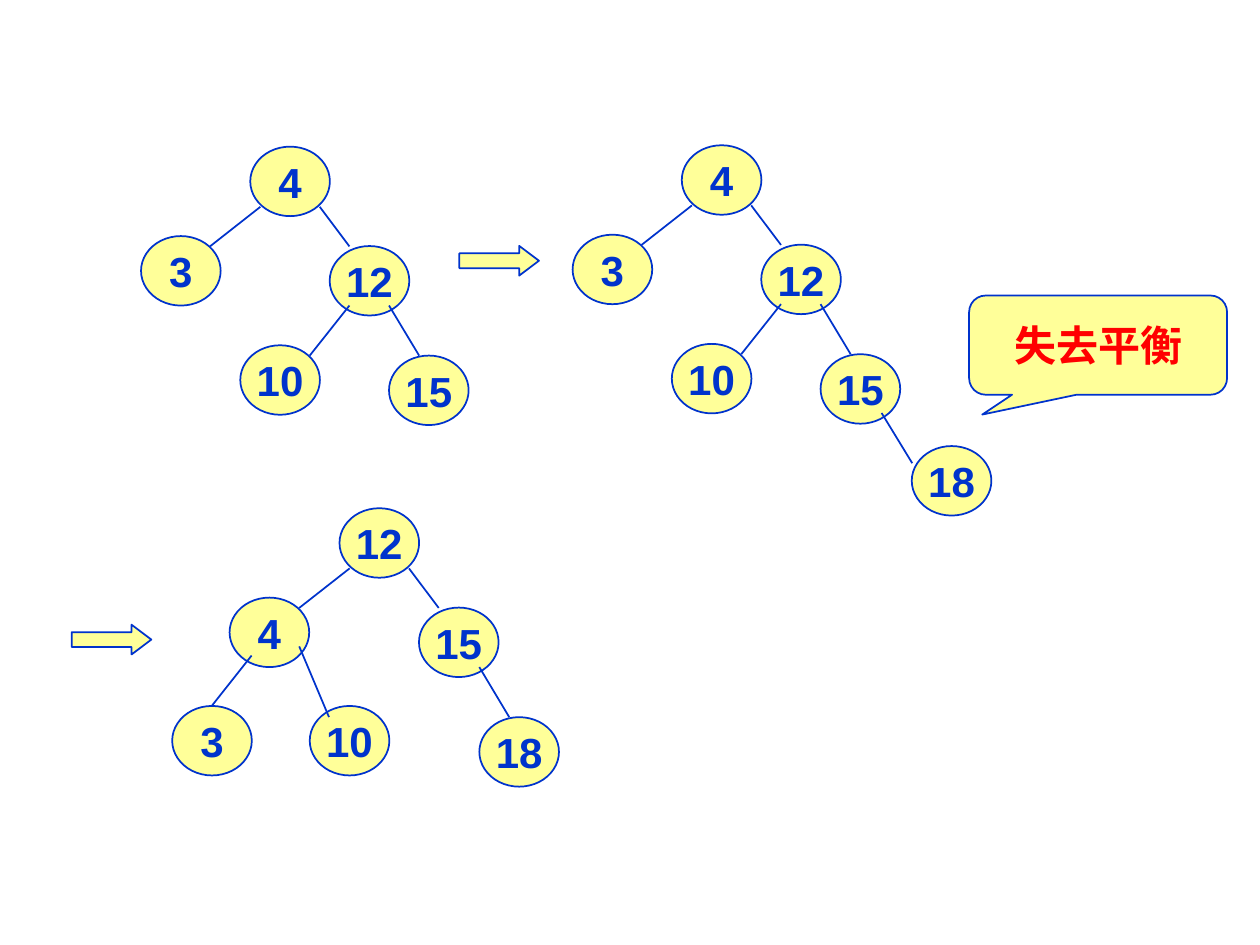
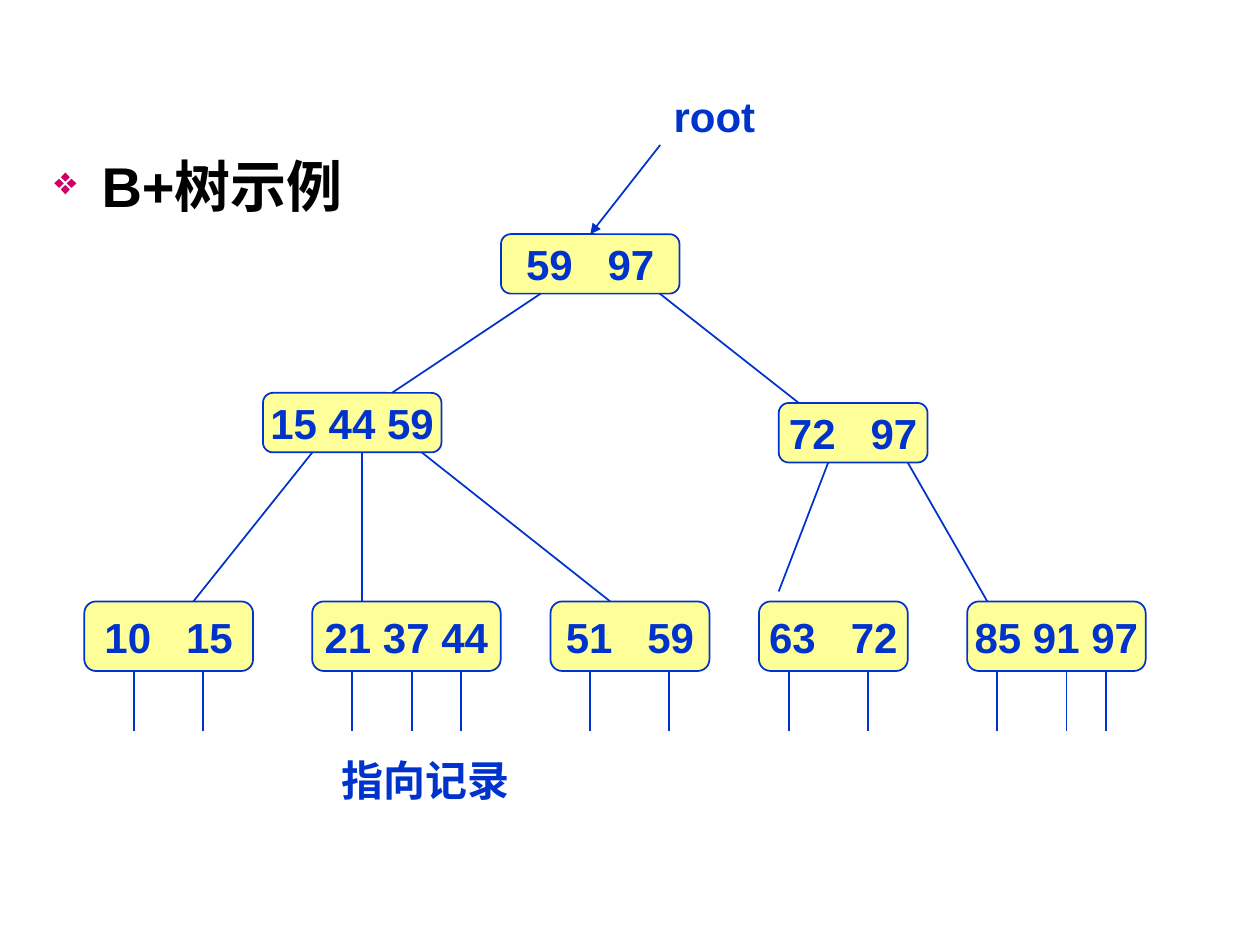
from lxml import etree
from pptx import Presentation
from pptx.dml.color import RGBColor
from pptx.enum.shapes import MSO_CONNECTOR, MSO_SHAPE as Preset
from pptx.enum.text import MSO_ANCHOR as Anchor, MSO_AUTO_SIZE, PP_ALIGN as Align
from pptx.oxml.ns import qn
from pptx.util import Pt

# Shared look
BLUE, YELLOW, RED, BLACK, PINK = "0033CC", "FFFF99", "FF0000", "000000", "CC0066"
FONT = "Arial"
TEXT_SIZE, TITLE_SIZE = 24, 32

# Slide 1: three trees; nodes and edges are offsets from the root's top left
NODE_SIZE = (45.5, 39.7)
TOP_EDGES = [((5.8, 34.4), (-23, 57)), ((39.7, 34.4), (56.7, 57))]
FIRST_NODES = [("15", 79.3, 119.4), ("4", 0, 0), ("3", -62.4, 51.1),
               ("10", -5.7, 113.5), ("12", 45.4, 56.8)]
FIRST_EDGES = TOP_EDGES + [((56.7, 90.8), (34, 119.4)), ((79.3, 90.8), (96.5, 119.4))]
ROTATED_NODES = [("18", 79.9, 119.4), ("12", 0, 0), ("4", -62.8, 51.1),
                 ("10", -17, 113), ("15", 45.4, 56.8), ("3", -95.6, 113)]
ROTATED_EDGES = TOP_EDGES + [((-23, 79), (-6, 119.4)), ((79.9, 90.8), (97, 119.4)),
                             ((-50.2, 84.2), (-73, 113))]
TREES = [
    ((143, 83.8), FIRST_NODES, FIRST_EDGES),
    ((389.6, 83), FIRST_NODES + [("18", 131.4, 171.9)],
     FIRST_EDGES + [((114.2, 153), (131.7, 181.7))]),
    ((194, 290.4), ROTATED_NODES, ROTATED_EDGES),
]
STEP_ARROWS = [(262.5, 140.5), (41, 357)]
UNBALANCED = ("失去平衡", (553.8, 168.9, 147.4, 56.7))

# Slide 2: B+ tree; keys, left, top, width of each node
TITLE = "B+树示例"
INNER_HEIGHT, LEAF_HEIGHT, LEAF_TOP, POINTER_LENGTH = 34, 39.7, 343.7, 34.3
INNER_NODES = {
    "root": ("59 97", 286.3, 133.8, 102),
    "low": ("15 44 59", 150.3, 224.5, 102),
    "high": ("72 97", 445, 230.3, 85),
}
LEAVES = [  # keys, left, width, record pointer positions
    ("10 15", 48.2, 96.4, (76.5, 116)),
    ("21 37 44", 178.4, 107.7, (201.3, 235.3, 263.5)),
    ("51 59", 314.6, 90.8, (337.3, 382.5)),
    ("63 72", 433.7, 85, (450.8, 496)),
    ("85 91 97", 552.7, 102, (569.8, 609.5, 632)),
]
CHILD_EDGES = [  # parent, x at the parent, x at the child, y at the child
    ("root", 309, 224, 224.5), ("root", 377, 456.5, 230.3),
    ("low", 178.5, 110.5, LEAF_TOP), ("low", 206.8, 206.8, LEAF_TOP),
    ("low", 241, 348.7, LEAF_TOP),
    ("high", 473.3, 445, 338), ("high", 518.7, 564.2, LEAF_TOP),
]
ROOT_LABEL = ("root", (371.5, 49, 73.4, 33.8))
RECORDS_LABEL = ("指向记录", (70.6, 428.4, 345.6, 33.8))
ROOT_POINTER_START = (377.3, 82.8)


def colour(hex_string):
    return RGBColor.from_string(hex_string)


def points(*lengths):
    return [Pt(length) for length in lengths]


def style(paragraph, hex_string, size=TEXT_SIZE, align=Align.CENTER):
    paragraph.alignment = align
    font = paragraph.font
    font.name, font.size, font.bold = FONT, Pt(size), True
    font.color.rgb = colour(hex_string)


def write(shape, text, hex_string=BLUE, wrap=False):
    frame = shape.text_frame
    frame.word_wrap, frame.vertical_anchor = wrap, Anchor.MIDDLE
    frame.text = text
    style(frame.paragraphs[0], hex_string)


def write_keys(shape, keys):
    """Write the keys; a pair stands wide apart, three stand close."""
    write(shape, keys)
    values = keys.split()
    if len(values) == 2:
        paragraph = shape.text_frame.paragraphs[0]
        paragraph.runs[0].text = values[0]
        gap = paragraph.add_run()
        gap.text = " "
        gap.font._element.set("spc", "1330")
        paragraph.add_run().text = values[1]


def add_box(shapes, preset, box):
    shape = shapes.add_shape(preset, *points(*box))
    shape.shadow.inherit = False
    shape.fill.solid()
    shape.fill.fore_color.rgb = colour(YELLOW)
    shape.line.color.rgb = colour(BLUE)
    shape.line.width = Pt(1)
    return shape


def add_line(shapes, start, end):
    line = shapes.add_connector(MSO_CONNECTOR.STRAIGHT, *points(*start, *end))
    line.line.color.rgb = colour(BLUE)
    line.line.width = Pt(1)
    etree.SubElement(line._element.spPr, qn("a:effectLst"))
    return line


def add_label(shapes, text, box):
    write(shapes.add_textbox(*points(*box)), text)


def add_tree(slide, root, nodes, edges):
    shapes = slide.shapes.add_group_shape().shapes
    x, y = root
    for key, dx, dy in nodes:
        write(add_box(shapes, Preset.OVAL, (x + dx, y + dy, *NODE_SIZE)), key)
    for (x1, y1), (x2, y2) in edges:
        add_line(shapes, (x + x1, y + y1), (x + x2, y + y2))


def build_rotation(prs):
    slide = prs.slides.add_slide(prs.slide_layouts[6])
    for tree in TREES:
        add_tree(slide, *tree)
    for left, top in STEP_ARROWS:
        arrow = add_box(slide.shapes, Preset.RIGHT_ARROW, (left, top, 45.5, 17))
        arrow.adjustments[1] = 0.665
    text, box = UNBALANCED
    callout = add_box(slide.shapes, Preset.ROUNDED_RECTANGULAR_CALLOUT, box)
    for index, value in enumerate((-0.449, 0.7, 0.167)):
        callout.adjustments[index] = value
    write(callout, text, RED, wrap=True)


def add_bulleted_title(slide):
    title = slide.shapes.title
    title.left, title.top, title.width, title.height = points(23.8, 82.8, 672.5, 379.4)
    frame = title.text_frame
    frame.text = TITLE
    frame.auto_size, frame.vertical_anchor = MSO_AUTO_SIZE.NONE, Anchor.TOP
    paragraph = frame.paragraphs[0]
    paragraph.space_before = Pt(0)
    props = paragraph._p.get_or_add_pPr()
    props.set("marL", str(Pt(27)))
    props.set("indent", str(-Pt(27)))
    bullet_colour = etree.SubElement(props, qn("a:buClr"))
    etree.SubElement(bullet_colour, qn("a:srgbClr"), val=PINK)
    etree.SubElement(props, qn("a:buSzPct"), val="70000")
    etree.SubElement(props, qn("a:buChar"), char="❖")
    style(paragraph, BLACK, TITLE_SIZE, Align.LEFT)


def build_bplus_tree(prs):
    slide = prs.slides.add_slide(prs.slide_layouts[5])
    add_bulleted_title(slide)
    shapes = slide.shapes.add_group_shape().shapes

    # Inner nodes
    inner = {}
    for name, (keys, left, top, width) in INNER_NODES.items():
        inner[name] = add_box(shapes, Preset.ROUNDED_RECTANGLE,
                              (left, top, width, INNER_HEIGHT))
        write_keys(inner[name], keys)

    # Leaves with their record pointers
    leaf_bottom = LEAF_TOP + LEAF_HEIGHT
    for keys, left, width, pointers in LEAVES:
        leaf = add_box(shapes, Preset.ROUNDED_RECTANGLE,
                       (left, LEAF_TOP, width, LEAF_HEIGHT))
        write_keys(leaf, keys)
        for x in pointers:
            add_line(shapes, (x, leaf_bottom), (x, leaf_bottom + POINTER_LENGTH))

    # Edges from parent to child
    for parent, parent_x, child_x, child_y in CHILD_EDGES:
        parent_bottom = INNER_NODES[parent][2] + INNER_HEIGHT
        add_line(shapes, (parent_x, parent_bottom), (child_x, child_y))

    # Arrow to the root, and labels
    pointer = add_line(shapes, ROOT_POINTER_START, ROOT_POINTER_START)
    pointer.end_connect(inner["root"], 0)
    etree.SubElement(pointer.line._get_or_add_ln(), qn("a:tailEnd"), type="triangle")
    add_label(shapes, *ROOT_LABEL)
    add_label(slide.shapes, *RECORDS_LABEL)


def main():
    prs = Presentation()
    prs.slide_width, prs.slide_height = points(720, 540)
    build_rotation(prs)
    build_bplus_tree(prs)
    prs.save("out.pptx")


if __name__ == "__main__":
    main()
